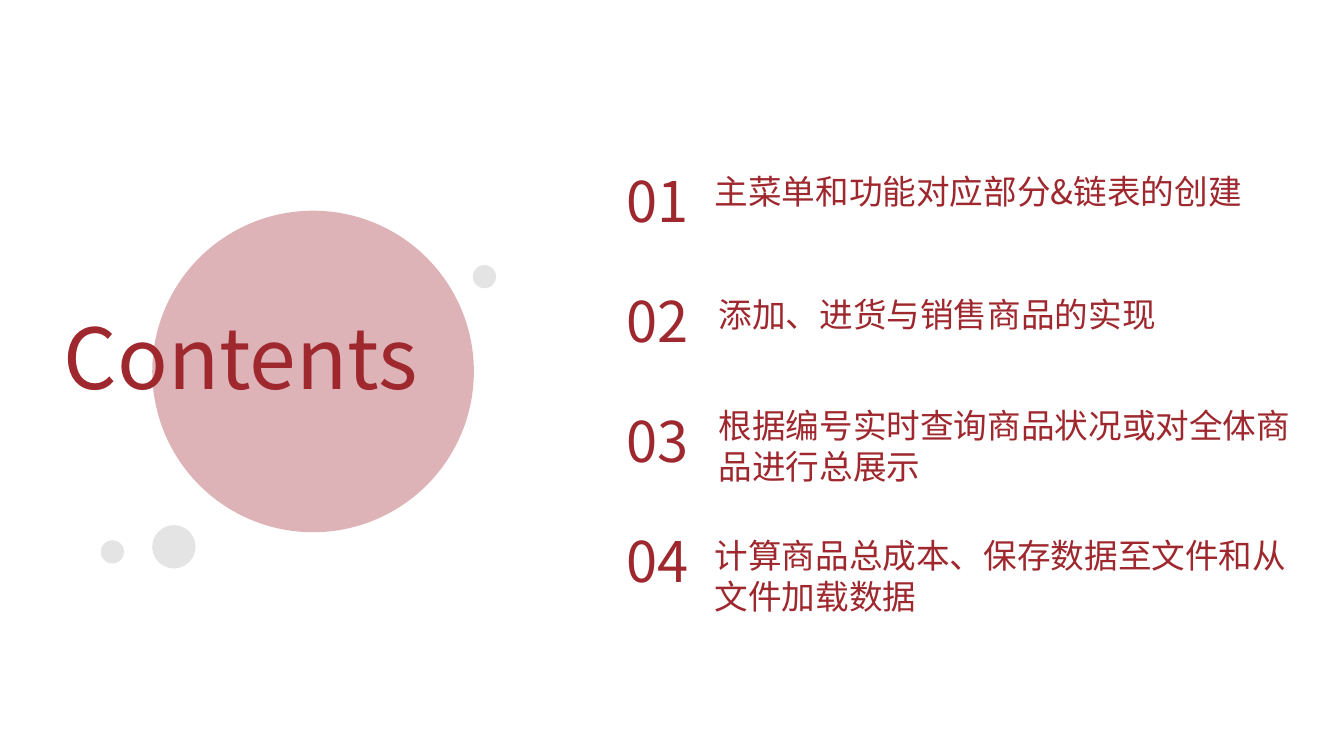
from lxml import etree
from pptx import Presentation
from pptx.dml.color import RGBColor
from pptx.enum.shapes import MSO_SHAPE
from pptx.enum.text import MSO_ANCHOR, MSO_AUTO_SIZE, PP_ALIGN
from pptx.oxml.ns import qn
from pptx.util import Inches, Pt

CIRCLE = MSO_SHAPE.FLOWCHART_CONNECTOR
TOP = MSO_ANCHOR.TOP
JUSTIFY = PP_ALIGN.JUSTIFY
LEFT = PP_ALIGN.LEFT
NO_AUTOFIT = MSO_AUTO_SIZE.NONE

FONT = "Noto Sans CJK SC"
COLORS = {"text": "9E282E", "disc": "970B1C", "dot": "D9D9D9"}

CIRCLES = [
    (1.51, 2.09, 3.19, "disc", 31),
    (1.51, 5.21, 0.43, "dot", 70),
    (1, 5.36, 0.23, "dot", 70),
    (4.69, 2.63, 0.23, "dot", 70),
]
NUMBER_LEFT, NUMBER_TOP, NUMBER_STEP = 6.12, 1.6, 1.19
ENTRIES = [
    ("主菜单和功能对应部分&链表的创建", 6.99, 1.65, 5.98, 0.62),
    ("添加、进货与销售商品的实现", 7.03, 2.87, 6.3, 0.41),
    ("根据编号实时查询商品状况或对全体商品进行总展示", 7.03, 3.97, 5.89, 0.4),
    ("计算商品总成本、保存数据至文件和从文件加载数据", 6.99, 5.26, 5.89, 0.91),
]


def add_circle(page, left, top, size, color, opacity):
    circle = page.shapes.add_shape(
        CIRCLE, Inches(left), Inches(top), Inches(size), Inches(size))
    circle.shadow.inherit = False
    circle.line.fill.background()
    circle.fill.solid()
    circle.fill.fore_color.rgb = RGBColor.from_string(COLORS[color])
    tint = circle.fill._xPr.find(qn("a:solidFill"))[0]
    etree.SubElement(tint, qn("a:alpha")).set("val", str(opacity * 1000))


def write_text(box, text, size, align=LEFT):
    frame = box.text_frame
    frame.word_wrap = True
    frame.auto_size = NO_AUTOFIT
    frame.vertical_anchor = TOP
    para = frame.paragraphs[0]
    para.alignment = align
    span = para.add_run()
    span.text = text
    span.font.size = Pt(size)
    span.font.name = FONT
    span.font.color.rgb = RGBColor.from_string(COLORS["text"])
    east_asian = etree.SubElement(span.font._element, qn("a:ea"))
    east_asian.set("typeface", FONT)


def add_text(page, text, left, top, width, height, size):
    box = page.shapes.add_textbox(
        Inches(left), Inches(top), Inches(width), Inches(height))
    write_text(box, text, size)


def place_title(page, text, left, top, width, height, size):
    title = page.shapes.title
    title.left, title.top = Inches(left), Inches(top)
    title.width, title.height = Inches(width), Inches(height)
    write_text(title, text, size, JUSTIFY)
    page.shapes._spTree.append(title._element)


def main():
    deck = Presentation()
    deck.slide_width, deck.slide_height = Inches(13.33), Inches(7.5)
    page = deck.slides.add_slide(deck.slide_layouts[5])
    for circle in CIRCLES:
        add_circle(page, *circle)
    place_title(page, "Contents", 0.53, 2.98, 4.39, 1.11, 60)
    for index, (text, left, top, width, height) in enumerate(ENTRIES):
        number_top = NUMBER_TOP + index * NUMBER_STEP
        add_text(page, f"{index + 1:02d}", NUMBER_LEFT, number_top, 0.86, 0.77, 40)
        add_text(page, text, left, top, width, height, 24)
    deck.save("out.pptx")


if __name__ == "__main__":
    main()
